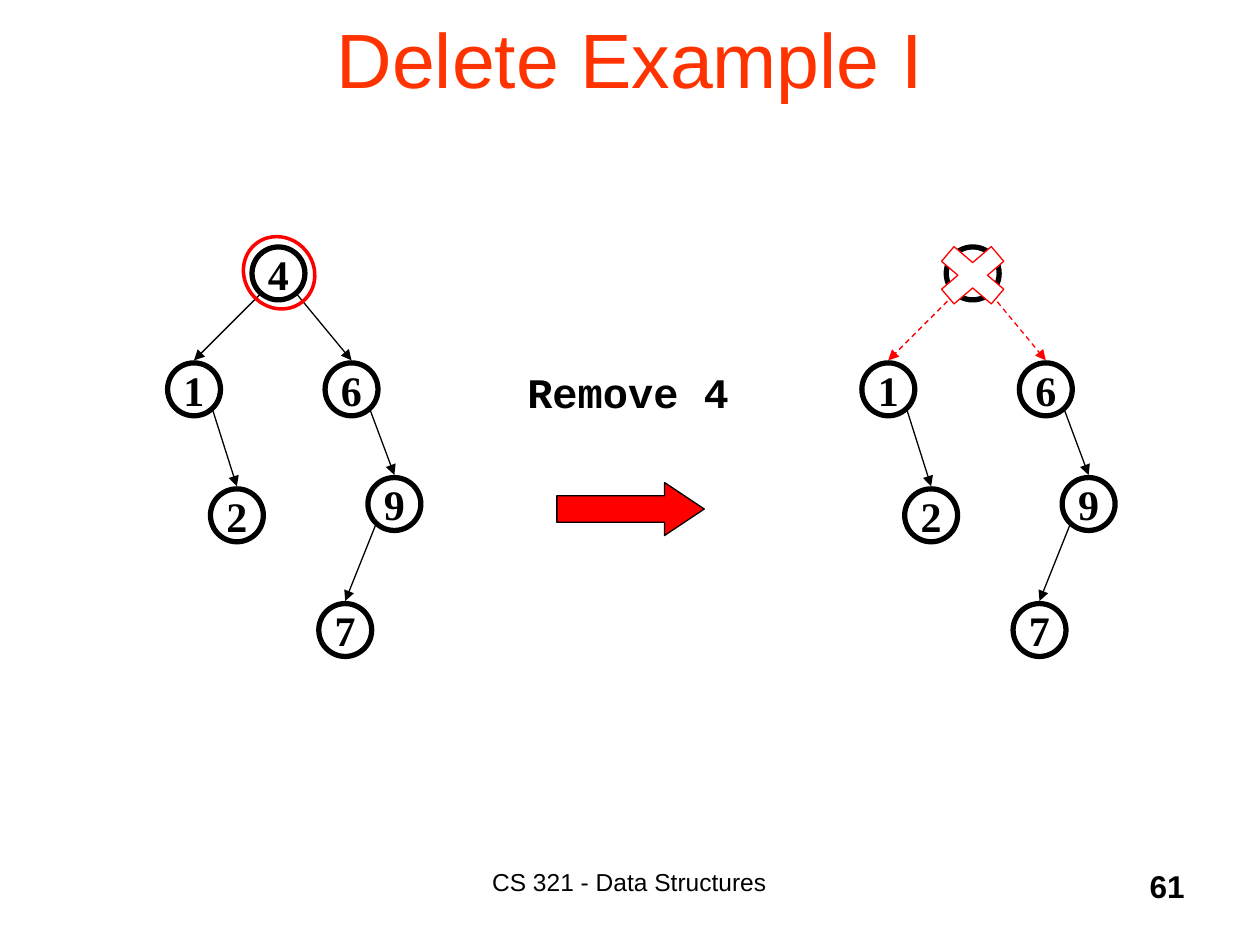
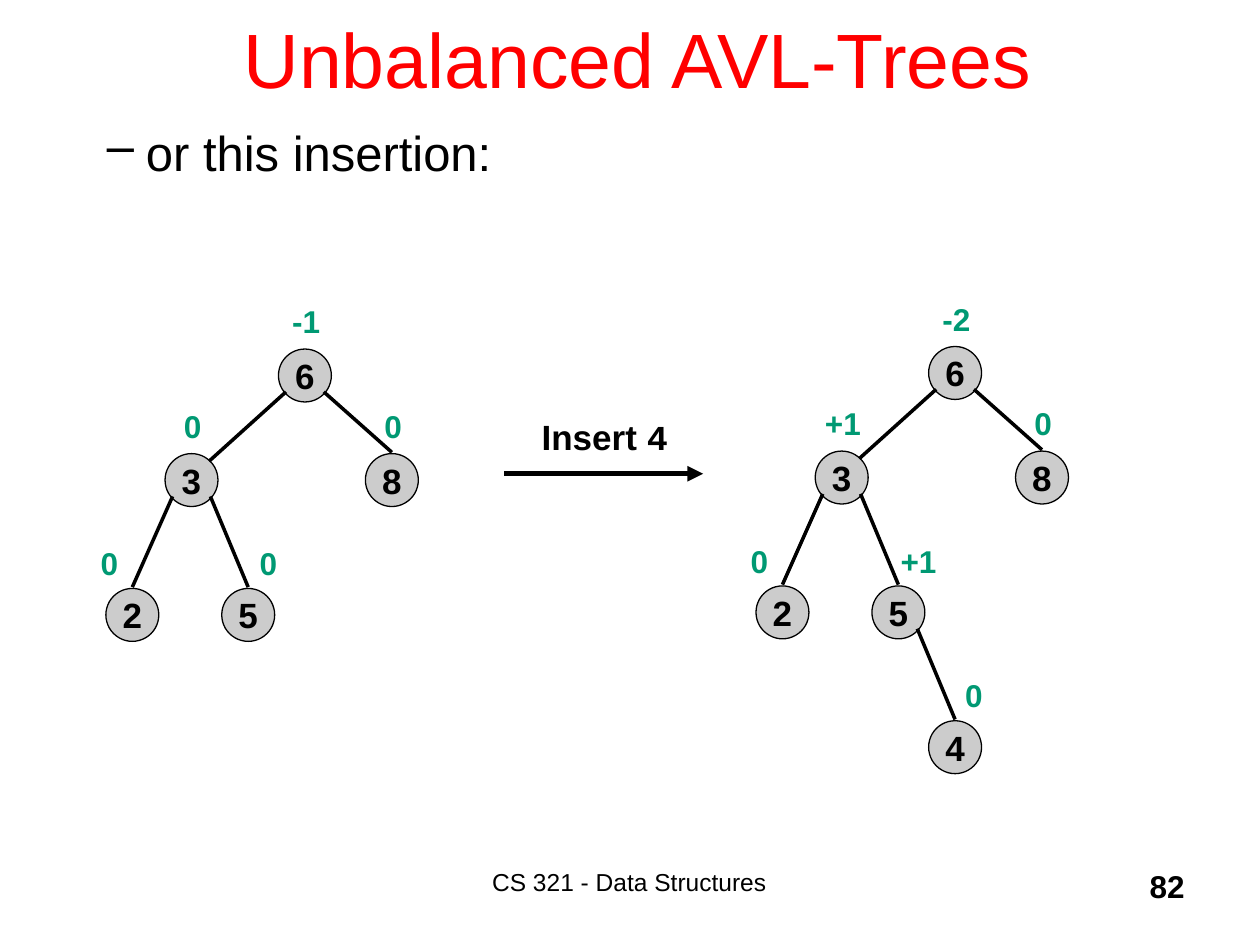
import pptx
import pptx.util
import pptx.dml.color
import pptx.enum.dml
import pptx.enum.shapes
import pptx.enum.text
import pptx.oxml.ns
from lxml import etree

Inches = pptx.util.Inches
Pt = pptx.util.Pt
SHAPE = pptx.enum.shapes.MSO_SHAPE
ALIGN = pptx.enum.text.PP_ALIGN
ANCHOR = pptx.enum.text.MSO_ANCHOR
qn = pptx.oxml.ns.qn

BLACK, WHITE, RED, ORANGE = "000000", "FFFFFF", "FF0000", "FF3300"
GREY, GREEN = "CCCCCC", "009973"
NODE = 0.42
RADIUS = NODE / 2

SEARCH_NODES = {
    "4": (0.67, 0), "1": (0, 0.92), "6": (1.25, 0.92),
    "2": (0.34, 1.92), "9": (1.59, 1.83), "7": (1.2, 2.83),
}
SEARCH_EDGES = [("4", "1"), ("4", "6"), ("1", "2"), ("6", "9"), ("9", "7")]

AVL_NODES = {
    "6": (1.37, 0), "3": (0.47, 0.83), "8": (2.06, 0.83),
    "2": (0, 1.9), "5": (0.92, 1.9), "4": (1.37, 2.97),
}
AVL_EDGES = [("6", "3"), ("3", "2"), ("3", "5"), ("6", "8"), ("5", "4")]
BALANCE_OFFSETS = {
    "6": (-0.03, -0.42), "3": (-0.03, -0.42), "8": (-0.03, -0.42),
    "2": (-0.14, -0.4), "5": (0.12, -0.4), "4": (0.11, -0.4),
}


def rgb(value):
    return pptx.dml.color.RGBColor.from_string(value)


def style_font(font, size, color=BLACK, name="Arial", bold=False):
    font.size = Pt(size)
    font.name = name
    font.bold = bold
    font.color.rgb = rgb(color)


def add_text(page, box, text, size, color=BLACK, name="Arial", bold=False,
             align=ALIGN.CENTER, anchor=ANCHOR.TOP):
    label = page.shapes.add_textbox(*map(Inches, box))
    frame = label.text_frame
    frame.word_wrap = True
    frame.vertical_anchor = anchor
    frame.text = text
    para = frame.paragraphs[0]
    para.alignment = align
    for span in para.runs:
        style_font(span.font, size, color, name, bold)
    return para


def add_outline(page, kind, box, line, width, fill=None):
    shape = page.shapes.add_shape(kind, *map(Inches, box))
    shape.shadow.inherit = False
    if fill:
        shape.fill.solid()
        shape.fill.fore_color.rgb = rgb(fill)
    else:
        shape.fill.background()
    shape.line.color.rgb = rgb(line)
    shape.line.width = Pt(width)
    return shape


def add_line(page, start, end, color, width, arrow=False, dashed=False):
    line = page.shapes.add_connector(
        pptx.enum.shapes.MSO_CONNECTOR.STRAIGHT, *map(Inches, (*start, *end)))
    line.line.color.rgb = rgb(color)
    line.line.width = Pt(width)
    if dashed:
        line.line.dash_style = pptx.enum.dml.MSO_LINE.DASH
    if arrow:
        etree.SubElement(line.line._get_or_add_ln(), qn("a:tailEnd"), type="triangle")
    etree.SubElement(line._element.spPr, qn("a:effectLst"))


def add_node(page, left, top, key, width, size, name, fill=None):
    node = add_outline(page, SHAPE.OVAL, (left, top, NODE, NODE), BLACK, width, fill)
    frame = node.text_frame
    frame.word_wrap = False
    frame.vertical_anchor = ANCHOR.MIDDLE
    frame.text = key
    para = frame.paragraphs[0]
    para.alignment = ALIGN.CENTER
    style_font(para.runs[0].font, size, BLACK, name, True)


def place_nodes(nodes, left, top):
    return {key: (left + x, top + y) for key, (x, y) in nodes.items()}


def edge_start(parent, child, drop):
    side = 0.15 if child[0] > parent[0] else -0.15
    return parent[0] + RADIUS + side, parent[1] + RADIUS + drop


def add_search_tree(page, left, top, removed=None):
    spots = place_nodes(SEARCH_NODES, left, top)
    for key, (x, y) in spots.items():
        add_node(page, x, y, key, 3, 24, "Times New Roman")
    for parent, child in SEARCH_EDGES:
        cut = parent == removed
        x, y = spots[child]
        add_line(page, edge_start(spots[parent], spots[child], 0.17),
                 (x + RADIUS, y - 0.02), RED if cut else BLACK, 0.75, True, cut)
    return spots["4"]


def add_avl_tree(page, left, top, balances):
    spots = place_nodes(AVL_NODES, left, top)
    for key, balance in balances.items():
        x, y = spots[key]
        shift, rise = BALANCE_OFFSETS[key]
        add_node(page, x, y, key, 0.75, 20, "Arial", GREY)
        add_text(page, (x + shift, y + rise, 0.5, 0.4), balance, 18, GREEN, bold=True,
                 align=ALIGN.LEFT if key == "2" else ALIGN.CENTER)
    for parent, child in AVL_EDGES:
        if child not in balances:
            continue
        x, y = spots[child]
        end = (x + 0.35, y + 0.06) if child == "3" else (x + RADIUS, y - 0.01)
        add_line(page, edge_start(spots[parent], spots[child], 0.13), end, BLACK, 2)


def add_page(deck, title, color, number):
    page = deck.slides.add_slide(deck.slide_layouts[6])
    add_text(page, (0.75, -0.17, 8.5, 1.25) if color == ORANGE else (0.7, -0.17, 8.72, 1.25),
             title, 44, color, anchor=ANCHOR.MIDDLE)
    add_text(page, (3.08, 6.83, 3.83, 0.5), "CS 321 - Data Structures", 14)
    add_text(page, (7.42, 6.83, 2.08, 0.5), number, 18, bold=True, align=ALIGN.RIGHT)
    return page


def add_dash_bullet(page, box, text):
    para = add_text(page, box, text, 28, align=ALIGN.LEFT)
    props = para._p.get_or_add_pPr()
    props.set("marL", str(Inches(0.81)))
    props.set("indent", str(Inches(-0.31)))
    etree.SubElement(props, qn("a:buChar"), char="–")


def build_delete_page(deck):
    page = add_page(deck, "Delete Example I", ORANGE, "61")
    add_text(page, (3.96, 2.86, 2.05, 0.5), "Remove 4", 24, name="Courier New", bold=True)
    arrow = add_outline(page, SHAPE.RIGHT_ARROW, (4.42, 3.83, 1.17, 0.42), BLACK, 0.75, RED)
    arrow.adjustments[0] = 0.5
    arrow.adjustments[1] = 0.75
    x, y = add_search_tree(page, 1.33, 1.96)
    ring = add_outline(page, SHAPE.OVAL, (x - 0.06, y - 0.09, 0.55, 0.59), RED, 2)
    ring.rotation = 320.5
    x, y = add_search_tree(page, 6.84, 1.96, removed="4")
    add_outline(page, SHAPE.MATH_MULTIPLY, (x - 0.17, y - 0.1, 0.76, 0.65), RED, 0.75, WHITE)


def build_avl_page(deck):
    page = add_page(deck, "Unbalanced AVL-Trees", RED, "82")
    add_dash_bullet(page, (0.25, 0.92, 9.75, 1), "or this insertion:")
    add_avl_tree(page, 0.84, 2.77, {"6": "-1", "3": "0", "8": "0", "2": "0", "5": "0"})
    add_avl_tree(page, 6, 2.75,
                 {"6": "-2", "3": "+1", "8": "0", "2": "0", "5": "+1", "4": "0"})
    add_line(page, (4, 3.76), (5.58, 3.76), BLACK, 3, arrow=True)
    para = add_text(page, (3.92, 3.25, 1.76, 0.44), "Insert ", 20, bold=True)
    span = para.add_run()
    span.text = "4"
    style_font(span.font, 20, BLACK, "Courier New", True)


def main():
    deck = pptx.Presentation()
    deck.slide_width = Inches(10)
    deck.slide_height = Inches(7.5)
    build_delete_page(deck)
    build_avl_page(deck)
    deck.save("out.pptx")


if __name__ == "__main__":
    main()
